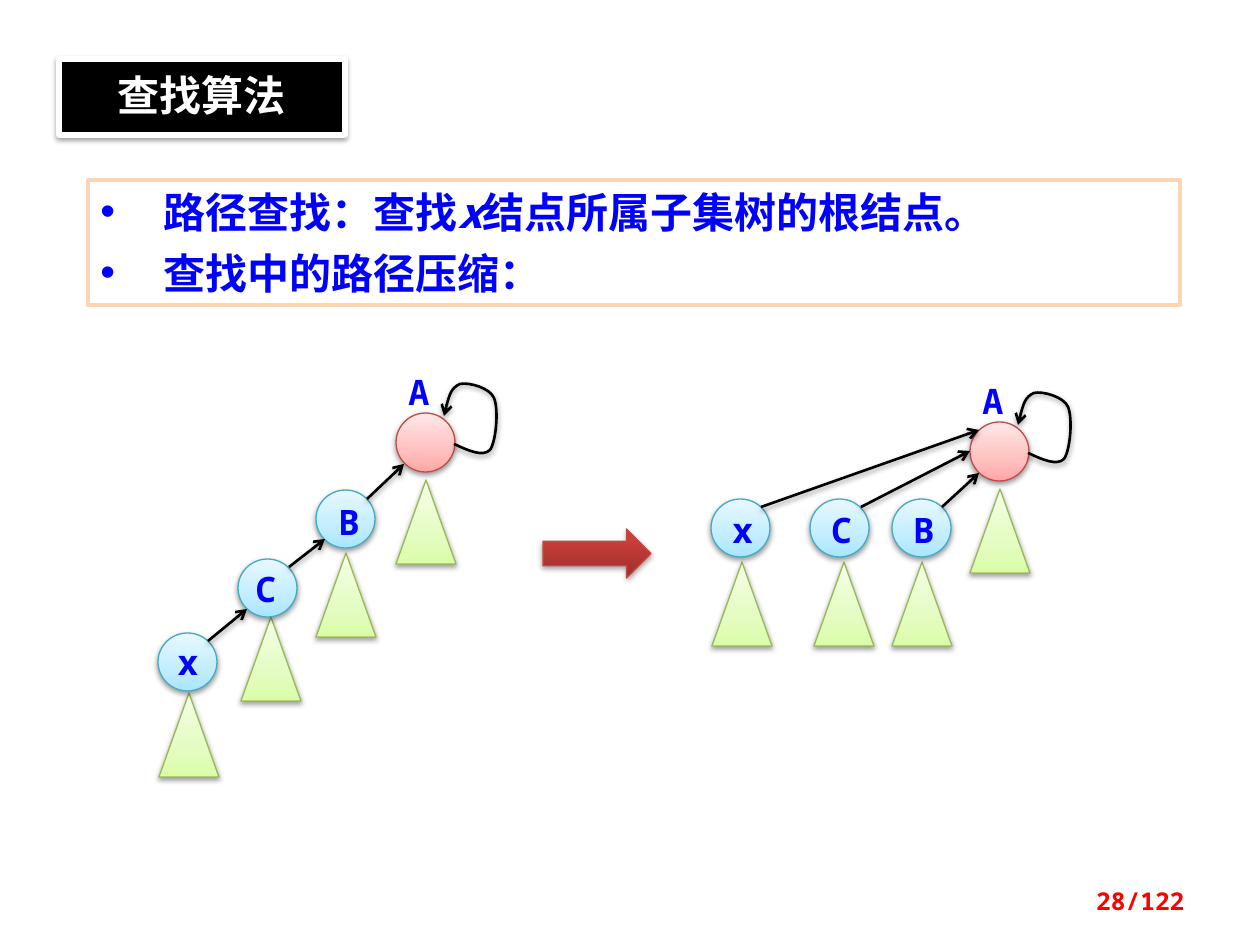
from lxml import etree
from pptx import Presentation
from pptx import util as u
from pptx.dml.color import RGBColor
from pptx.enum import shapes, text
from pptx.oxml.ns import qn

PX = u.Inches(1) / 126

BLACK = RGBColor(0x00, 0x00, 0x00)
WHITE = RGBColor(0xFF, 0xFF, 0xFF)
BLUE = RGBColor(0x00, 0x00, 0xFF)
RED = RGBColor(0xFF, 0x00, 0x00)
PEACH = RGBColor(0xFC, 0xD5, 0xB5)
RED_EDGE = RGBColor(0xBF, 0x4C, 0x48)
BLUE_EDGE = RGBColor(0x46, 0xAA, 0xC5)
GREEN_EDGE = RGBColor(0x98, 0xB9, 0x55)
RED_STOPS = {0: "FFA6A5", 35: "FFC0BF", 100: "FFE7E7"}
BLUE_STOPS = {0: "A7E6FF", 35: "C1EDFF", 100: "E7F8FF"}
GREEN_STOPS = {0: "DAFDA7", 35: "E4FCC2", 100: "F5FFE7"}
ARROW_STOPS = {0: "9C2F2D", 80: "CB3E3A", 100: "CE3B37"}

MONO = "Noto Sans Mono"
SANS = "Noto Sans CJK SC"
LABEL = {"name": MONO, "size": u.Pt(20), "bold": True}
BODY = LABEL | {"size": u.Pt(24)}
TITLE = BODY | {"name": SANS}
PAGE_NUMBER = LABEL | {"size": u.Pt(14)}

OVAL = shapes.MSO_SHAPE.OVAL
LOOP_CURVE = [(469, 451), (483, 457), (490, 450), (496, 442), (499, 410), (494, 398),
              (490, 388), (469, 382), (460, 384), (451, 388), (447, 402), (444, 416)]

# Each node: name, circle corner, subtree corner
LEFT_NODES = [("B", (316, 490), (316, 553)), ("C", (238, 559), (241, 617)),
              ("x", (158, 633), (159, 693))]
RIGHT_NODES = [("B", (892, 499), (892, 562)), ("C", (810, 499), (814, 562)),
               ("x", (711, 499), (712, 562))]
LEFT_LABELS = [("B", 326, 494), ("C", 243, 561), ("x", 165, 634)]
PARENT_LINKS = [(367, 499, 404, 464), (289, 567, 325, 539), (208, 641, 247, 609),
                (942, 507, 979, 473), (861, 507, 970, 451), (761, 507, 979, 430)]


def emu(*lengths):
    return [u.Emu(round(length * PX)) for length in lengths]


def add_child(parent, tag, **attributes):
    values = {key: str(value) for key, value in attributes.items()}
    return etree.SubElement(parent, qn(tag), values)


def set_shadow(shape, alpha=38):
    effects = add_child(shape._element.spPr, "a:effectLst")
    shadow = add_child(effects, "a:outerShdw", blurRad=u.Pt(3.1), dist=u.Pt(1.6),
                       dir=5400000, rotWithShape=0)
    add_child(add_child(shadow, "a:srgbClr", val=BLACK), "a:alpha", val=alpha * 1000)


def set_line(shape, color, width, arrow=False):
    shape.line.color.rgb = color
    shape.line.width = u.Pt(width)
    if arrow:
        add_child(shape.line._get_or_add_ln(), "a:tailEnd", type="arrow")


def set_gradient(shape, stops):
    """Fill upwards from the first stop to the last."""
    shape.fill.gradient()
    shape.fill.gradient_angle = 90
    stop_list = shape._element.spPr.find(".//" + qn("a:gsLst"))
    for stop in list(stop_list):
        stop_list.remove(stop)
    for position, color in stops.items():
        add_child(add_child(stop_list, "a:gs", pos=position * 1000), "a:srgbClr", val=color)


def add_span(para, words, style, color, italic=False):
    span = para.add_run()
    span.text = words
    for key, value in style.items():
        setattr(span.font, key, value)
    span.font.italic = italic
    span.font.color.rgb = color
    add_child(span.font._element, "a:ea", typeface=style["name"])


def write_line(shape, words, style, color, align, spacing=None):
    frame = shape.text_frame
    frame.word_wrap = True
    para = frame.paragraphs[0]
    para.alignment = align
    para.line_spacing = spacing
    add_span(para, words, style, color)
    return frame


def add_box(page, kind, bounds, color, edge, width):
    box = page.shapes.add_shape(kind, *emu(*bounds))
    box.shadow.inherit = False
    box.fill.solid()
    box.fill.fore_color.rgb = color
    set_line(box, edge, width)
    return box


def add_gradient_shape(page, kind, bounds, stops, edge, alpha=38):
    shape = page.shapes.add_shape(kind, *emu(*bounds))
    set_gradient(shape, stops)
    set_line(shape, edge, 0.75)
    set_shadow(shape, alpha)
    return shape


def add_label(page, words, left, top):
    box = page.shapes.add_textbox(*emu(left, top, 59, 55))
    write_line(box, words, LABEL, BLUE, text.PP_ALIGN.LEFT)


def add_subtree(page, left, top):
    add_gradient_shape(page, shapes.MSO_SHAPE.ISOSCELES_TRIANGLE, (left, top, 60, 84),
                       GREEN_STOPS, GREEN_EDGE)


def add_node(page, circle, subtree):
    add_subtree(page, *subtree)
    return add_gradient_shape(page, OVAL, (*circle, 59, 58), BLUE_STOPS, BLUE_EDGE)


def add_link(page, *ends):
    link = page.shapes.add_connector(shapes.MSO_CONNECTOR.STRAIGHT, *emu(*ends))
    set_line(link, BLACK, 1.5, arrow=True)
    set_shadow(link)


def add_self_loop(page, dx, dy):
    builder = page.shapes.build_freeform(454 + dx, 444 + dy, scale=PX)
    builder.add_line_segments([(x + dx, y + dy) for x, y in LOOP_CURVE], close=False)
    loop = builder.convert_to_shape()
    # Every three points become one Bézier segment
    segments = list(loop._element.spPr.iter(qn("a:lnTo")))
    for start in range(0, len(segments), 3):
        group = segments[start:start + 3]
        curve = etree.Element(qn("a:cubicBezTo"))
        group[0].addprevious(curve)
        for segment in group:
            curve.append(segment[0])
            segment.getparent().remove(segment)
    loop.fill.background()
    set_line(loop, BLACK, 1.5, arrow=True)
    set_shadow(loop)


def add_root(page, dx, dy):
    add_gradient_shape(page, OVAL, (396 + dx, 413 + dy, 59, 59), RED_STOPS, RED_EDGE)
    add_self_loop(page, dx, dy)
    add_subtree(page, 396 + dx, 480 + dy)
    add_label(page, "A", 396 + dx, 364 + dy)


def add_bullets(page):
    box = add_box(page, shapes.MSO_SHAPE.RECTANGLE, (88, 180, 1092, 125), WHITE, PEACH, 2)
    frame = box.text_frame
    frame.word_wrap = True
    frame.vertical_anchor = text.MSO_ANCHOR.TOP
    lines = [["路径查找：查找", "x", "结点所属子集树的根结点。"], ["查找中的路径压缩："]]
    for index, line in enumerate(lines):
        para = frame.add_paragraph() if index else frame.paragraphs[0]
        para.alignment = text.PP_ALIGN.LEFT
        para.space_before = u.Pt(6 if index else 0)
        properties = para._p.get_or_add_pPr()
        properties.set("marL", str(u.Inches(0.5)))
        properties.set("indent", str(-u.Inches(0.5)))
        add_child(properties, "a:buFont", typeface="Arial")
        add_child(properties, "a:buChar", char="•")
        for words in line:
            add_span(para, words, BODY, BLUE, italic=words == "x")


def add_title(page):
    box = add_box(page, shapes.MSO_SHAPE.RECTANGLE, (59, 59, 286, 76), BLACK, WHITE, 3)
    box._element.spPr.remove(box._element.spPr.find(qn("a:effectLst")))
    set_shadow(box)
    frame = write_line(box, "查找算法", TITLE, WHITE, text.PP_ALIGN.CENTER, u.Pt(26))
    frame.margin_top = frame.margin_bottom = u.Inches(0.12)


def main():
    deck = Presentation()
    deck.slide_width, deck.slide_height = emu(1260, 945)
    page = deck.slides.add_slide(deck.slide_layouts[6])
    add_bullets(page)
    for dx, dy in [(0, 0), (574, 9)]:
        add_root(page, dx, dy)
    for _, circle, subtree in LEFT_NODES:
        add_node(page, circle, subtree)
    for name, left, top in LEFT_LABELS:
        add_label(page, name, left, top)
    for name, circle, subtree in RIGHT_NODES:
        node = add_node(page, circle, subtree)
        write_line(node, name, LABEL, BLUE, text.PP_ALIGN.CENTER, u.Pt(26))
    for ends in PARENT_LINKS:
        add_link(page, *ends)
    add_gradient_shape(page, shapes.MSO_SHAPE.RIGHT_ARROW, (543, 529, 108, 49),
                       ARROW_STOPS, RED_EDGE, alpha=35)
    add_title(page)
    number = page.shapes.add_textbox(*emu(903, 876, 294, 50))
    frame = write_line(number, "28/122", PAGE_NUMBER, RED, text.PP_ALIGN.RIGHT)
    frame.vertical_anchor = text.MSO_ANCHOR.MIDDLE
    deck.save("out.pptx")


if __name__ == "__main__":
    main()
